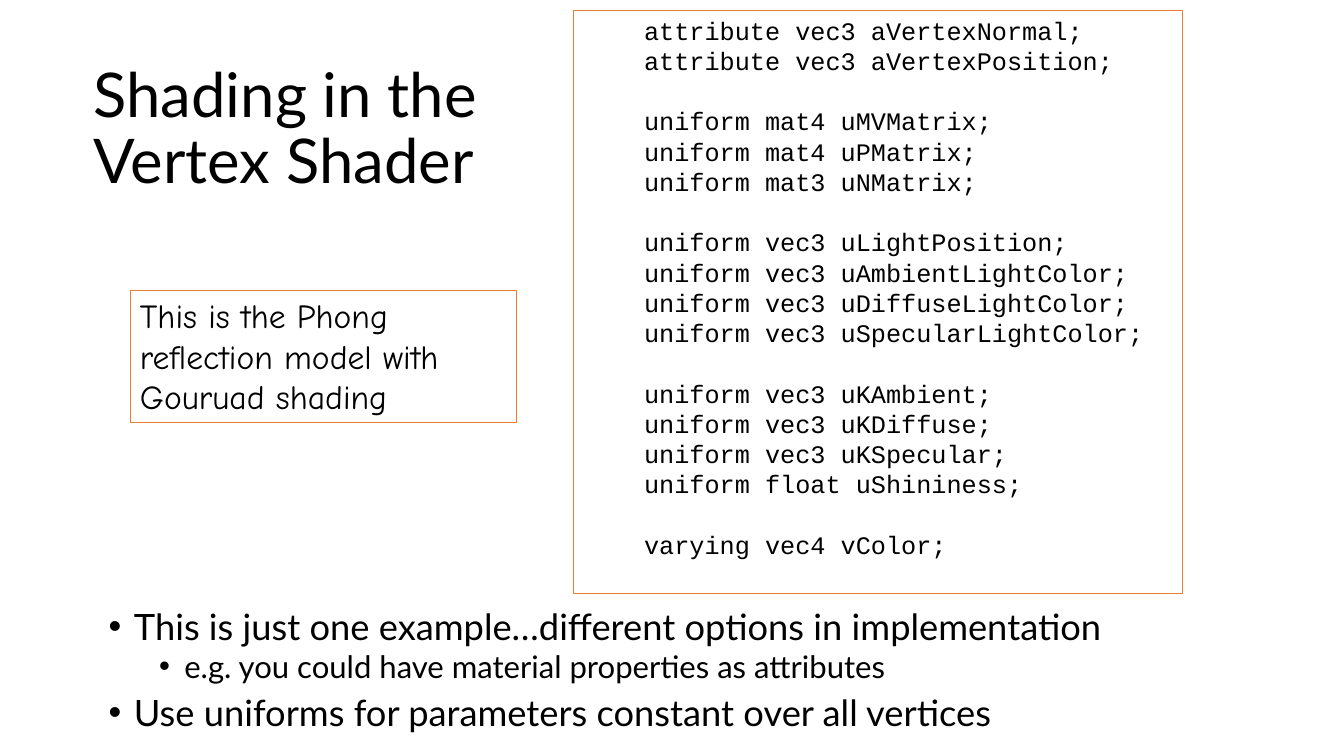
from pptx import Presentation
from pptx.dml.color import RGBColor as Color
from pptx.enum.shapes import MSO_SHAPE as Shape
from pptx.enum.text import MSO_ANCHOR as Anchor, PP_ALIGN as Align
from pptx.oxml import parse_xml
from pptx.oxml.ns import nsdecls
from pptx.util import Inches, Pt

# Content
TITLE_LINES = ["Shading in the", "Vertex Shader"]
NOTE = "This is the Phong reflection model with Gouruad shading"
CODE_GROUPS = [
    ["attribute vec3 aVertexNormal;", "attribute vec3 aVertexPosition;"],
    ["uniform mat4 uMVMatrix;", "uniform mat4 uPMatrix;",
     "uniform mat3 uNMatrix;"],
    ["uniform vec3 uLightPosition;", "uniform vec3 uAmbientLightColor;",
     "uniform vec3 uDiffuseLightColor;", "uniform vec3 uSpecularLightColor;"],
    ["uniform vec3 uKAmbient;", "uniform vec3 uKDiffuse;",
     "uniform vec3 uKSpecular;", "uniform float uShininess;"],
    ["varying vec4 vColor;"],
]
BULLETS = [
    (0, "This is just one example…different options in implementation"),
    (1, "e.g. you could have material properties as attributes"),
    (0, "Use uniforms for parameters constant over all vertices"),
]

# Places: left, top, width, height
TITLE_AT = (0.83, 0.57, 11.5, 1.45)
BULLETS_AT = (0.98, 6.03, 10.42, 1.34)
CODE_AT = (5.69, 0.1, 6.04, 5.79)
NOTE_AT = (1.29, 2.88, 3.83, 1.31)

THEME = {
    "text": Color.from_string("000000"),
    "border": Color.from_string("ED7D31"),
    "paper": Color.from_string("FFFFFF"),
    "title": ("Lato", 44),
    "bullets": [("Lato", 25.9), ("Lato", 22.2)],
    "code": ("Courier New", 18),
    "note": ("Comic Neue", 24),
}
CODE_LINE = Pt(21.6)
CODE_INDENT = 0.6


def add_span(para, text, style):
    span = para.add_run()
    span.text = text
    span.font.name, size = style
    span.font.size = Pt(size)
    span.font.color.rgb = THEME["text"]


def add_text_box(page, place, anchor=Anchor.TOP):
    box = page.shapes.add_textbox(*map(Inches, place))
    box.text_frame.word_wrap = True
    box.text_frame.vertical_anchor = anchor
    return box.text_frame


def add_framed_box(page, place):
    box = page.shapes.add_shape(Shape.RECTANGLE, *map(Inches, place))
    box.shadow.inherit = False
    box.fill.background()
    box.line.color.rgb = THEME["border"]
    box.line.width = Pt(0.75)
    box.text_frame.word_wrap = True
    box.text_frame.vertical_anchor = Anchor.TOP
    return box.text_frame


def next_para(frame, first):
    para = frame.paragraphs[0] if first else frame.add_paragraph()
    para.alignment = Align.LEFT
    return para


def set_indent(para, left, hanging=0):
    props = para._p.get_or_add_pPr()
    props.set("marL", str(Inches(left)))
    props.set("indent", str(-Inches(hanging)))
    return props


def add_title(page):
    para = next_para(add_text_box(page, TITLE_AT, Anchor.MIDDLE), True)
    para.line_spacing = 0.9
    for index, line in enumerate(TITLE_LINES):
        if index:
            para.add_line_break()
        add_span(para, line, THEME["title"])


def add_bullets(page):
    frame = add_text_box(page, BULLETS_AT)
    for index, (level, text) in enumerate(BULLETS):
        para = next_para(frame, index == 0)
        para.level = level
        para.line_spacing = 0.8
        para.space_before = Pt(5 if level else 10)
        props = set_indent(para, 0.25 + 0.5 * level, 0.25)
        props.append(parse_xml(f'<a:buFont {nsdecls("a")} typeface="Arial"/>'))
        props.append(parse_xml(f'<a:buChar {nsdecls("a")} char="•"/>'))
        add_span(para, text, THEME["bullets"][level])


def add_code(page):
    frame = add_framed_box(page, CODE_AT)
    for group_index, group in enumerate(CODE_GROUPS):
        for line_index, line in enumerate(group):
            para = next_para(frame, group_index == line_index == 0)
            para.line_spacing = CODE_LINE
            # One line of space separates the groups
            if group_index and line_index == 0:
                para.space_before = CODE_LINE
            set_indent(para, CODE_INDENT)
            add_span(para, line, THEME["code"])


def add_note(page):
    para = next_para(add_framed_box(page, NOTE_AT), True)
    add_span(para, NOTE, THEME["note"])


def main():
    deck = Presentation()
    deck.slide_width, deck.slide_height = Inches(13.33), Inches(7.5)
    page = deck.slides.add_slide(deck.slide_layouts[6])
    page.background.fill.solid()
    page.background.fill.fore_color.rgb = THEME["paper"]
    for add_part in (add_title, add_bullets, add_code, add_note):
        add_part(page)
    deck.save("out.pptx")


if __name__ == "__main__":
    main()
